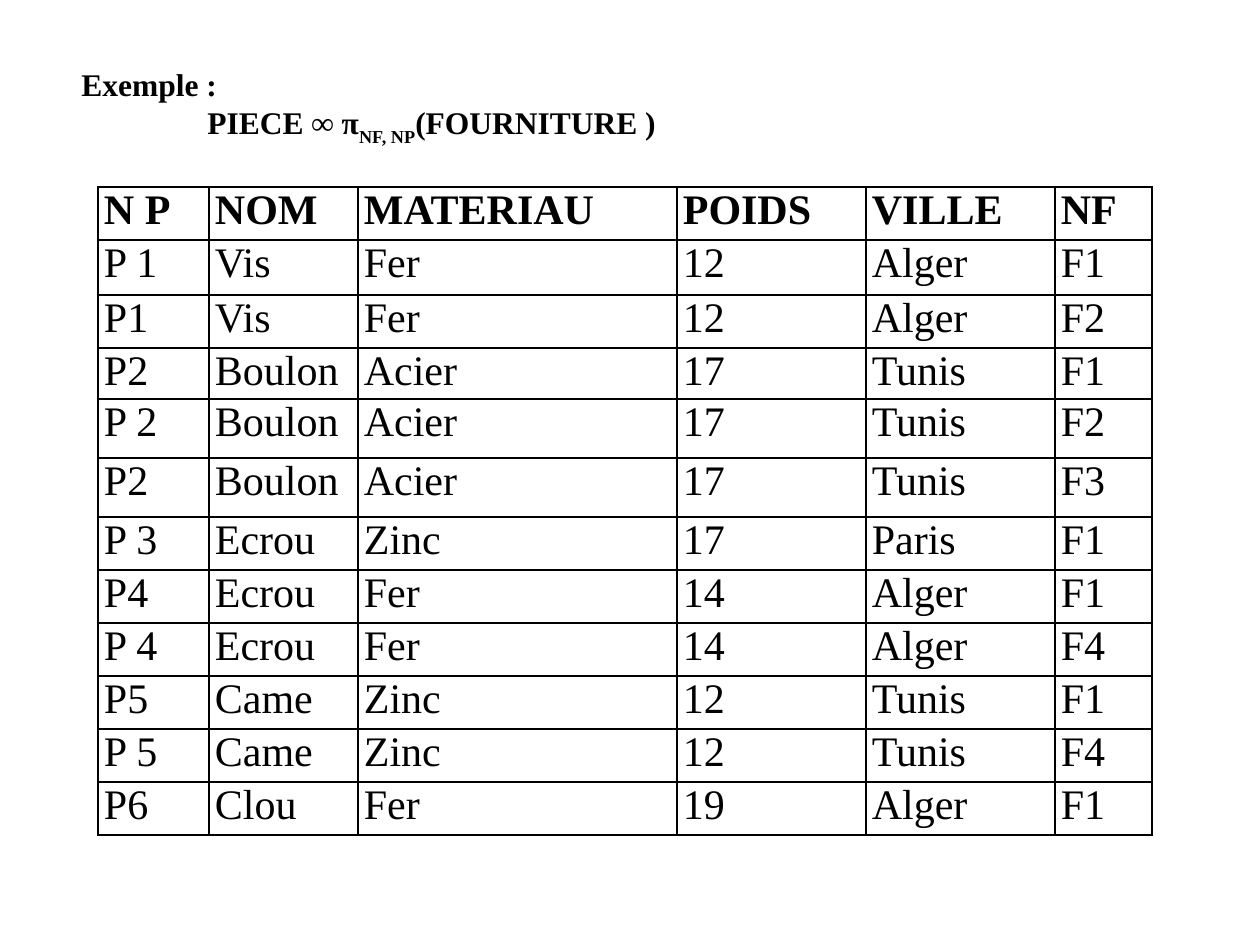
from lxml import etree
from pptx import Presentation
from pptx.dml.color import RGBColor
from pptx.enum.text import MSO_ANCHOR, MSO_AUTO_SIZE, PP_ALIGN
from pptx.oxml.ns import qn
from pptx.util import Inches, Pt

TOP = MSO_ANCHOR.TOP
FIXED = MSO_AUTO_SIZE.NONE
JUSTIFY = PP_ALIGN.JUSTIFY

THIN, THICK = 1, 1.5  # border widths in points
COLUMN_WIDTHS = [111, 149, 319, 189, 189, 97]
ROW_HEIGHTS = [53, 55, 53, 51, 59, 59] + [53] * 6

HEADER = ["N P", "NOM", "MATERIAU", "POIDS", "VILLE", "NF"]
PIECES = [
    ["P 1", "Vis", "Fer", "12", "Alger", "F1"],
    ["P1", "Vis", "Fer", "12", "Alger", "F2"],
    ["P2", "Boulon", "Acier", "17", "Tunis", "F1"],
    ["P 2", "Boulon", "Acier", "17", "Tunis", "F2"],
    ["P2", "Boulon", "Acier", "17", "Tunis", "F3"],
    ["P 3", "Ecrou", "Zinc", "17", "Paris", "F1"],
    ["P4", "Ecrou", "Fer", "14", "Alger", "F1"],
    ["P 4", "Ecrou", "Fer", "14", "Alger", "F4"],
    ["P5", "Came", "Zinc", "12", "Tunis", "F1"],
    ["P 5", "Came", "Zinc", "12", "Tunis", "F4"],
    ["P6", "Clou", "Fer", "19", "Alger", "F1"],
]


def px(length):
    return round(length * Inches(1) / 126)


def rgb(value):
    return RGBColor.from_string(value)


def apply(target, values):
    for name, value in values.items():
        setattr(target, name, value)


class SlideWriter:
    font = "Times New Roman"
    ink = "000000"

    def __init__(self, slide):
        self.slide = slide

    def span(self, para, text, size, bold, baseline=0):
        span = para.add_run()
        span.text = text
        apply(span.font, {"name": self.font, "size": Pt(size), "bold": bold})
        span.font.color.rgb = rgb(self.ink)
        if baseline:
            span._r.get_or_add_rPr().set("baseline", str(baseline * 1000))

    def text_box(self, left, top, width, height, lines, size, tab):
        box = self.slide.shapes.add_textbox(px(left), px(top), px(width), px(height))
        frame = box.text_frame
        apply(frame, {"word_wrap": True, "auto_size": FIXED, "vertical_anchor": TOP})
        for index, spans in enumerate(lines):
            para = frame.add_paragraph() if index else frame.paragraphs[0]
            tabs = etree.SubElement(para._p.get_or_add_pPr(), qn("a:tabLst"))
            etree.SubElement(tabs, qn("a:tab"), pos=str(px(tab)), algn="l")
            for text, baseline in spans:
                self.span(para, text, size, True, baseline)

    def borders(self, cell, widths):
        properties = cell._tc.get_or_add_tcPr()
        for side, width in widths.items():
            line = etree.SubElement(properties, qn(f"a:ln{side}"), w=str(Pt(width)))
            fill = etree.SubElement(line, qn("a:solidFill"))
            etree.SubElement(fill, qn("a:srgbClr"), val=self.ink)

    def table(self, left, top, rows, widths, heights, size):
        shape = self.slide.shapes.add_table(
            len(rows), len(widths), px(left), px(top), px(sum(widths)), px(sum(heights)))
        table = shape.table
        apply(table, {"first_row": False, "horz_banding": False})
        for column, width in zip(table.columns, widths):
            column.width = px(width)
        for row, height in zip(table.rows, heights):
            row.height = px(height)

        last_row, last_column = len(rows) - 1, len(widths) - 1
        for r, values in enumerate(rows):
            for c, value in enumerate(values):
                cell = table.cell(r, c)
                apply(cell, {"margin_left": px(6), "margin_right": px(6),
                             "margin_top": 0, "margin_bottom": 0,
                             "vertical_anchor": TOP})
                para = cell.text_frame.paragraphs[0]
                para.alignment = JUSTIFY
                if r == 0 or (r, c) == (1, 0):
                    para.space_after = Pt(3)
                self.span(para, value, size, r == 0)
                # The outer frame is thick, except below the first two columns
                self.borders(cell, {
                    "L": THICK if c == 0 else THIN,
                    "R": THICK if c == last_column else THIN,
                    "T": THICK if r == 0 else THIN,
                    "B": THICK if r == last_row and c >= 2 else THIN,
                })
                cell.fill.background()


def main():
    deck = Presentation()
    apply(deck, {"slide_width": Inches(10), "slide_height": Inches(7.5)})
    page = SlideWriter(deck.slides.add_slide(deck.slide_layouts[6]))

    # Heading with the join expression
    page.text_box(69, 59, 630, 152, [
        [("Exemple :", 0)],
        [("\tPIECE ∞ π", 0), ("NF, NP", -30), ("(FOURNITURE )", 0)],
    ], size=18, tab=126)

    # Result of the join
    page.table(98, 187, [HEADER] + PIECES, COLUMN_WIDTHS, ROW_HEIGHTS, size=24)

    deck.save("out.pptx")


if __name__ == "__main__":
    main()
